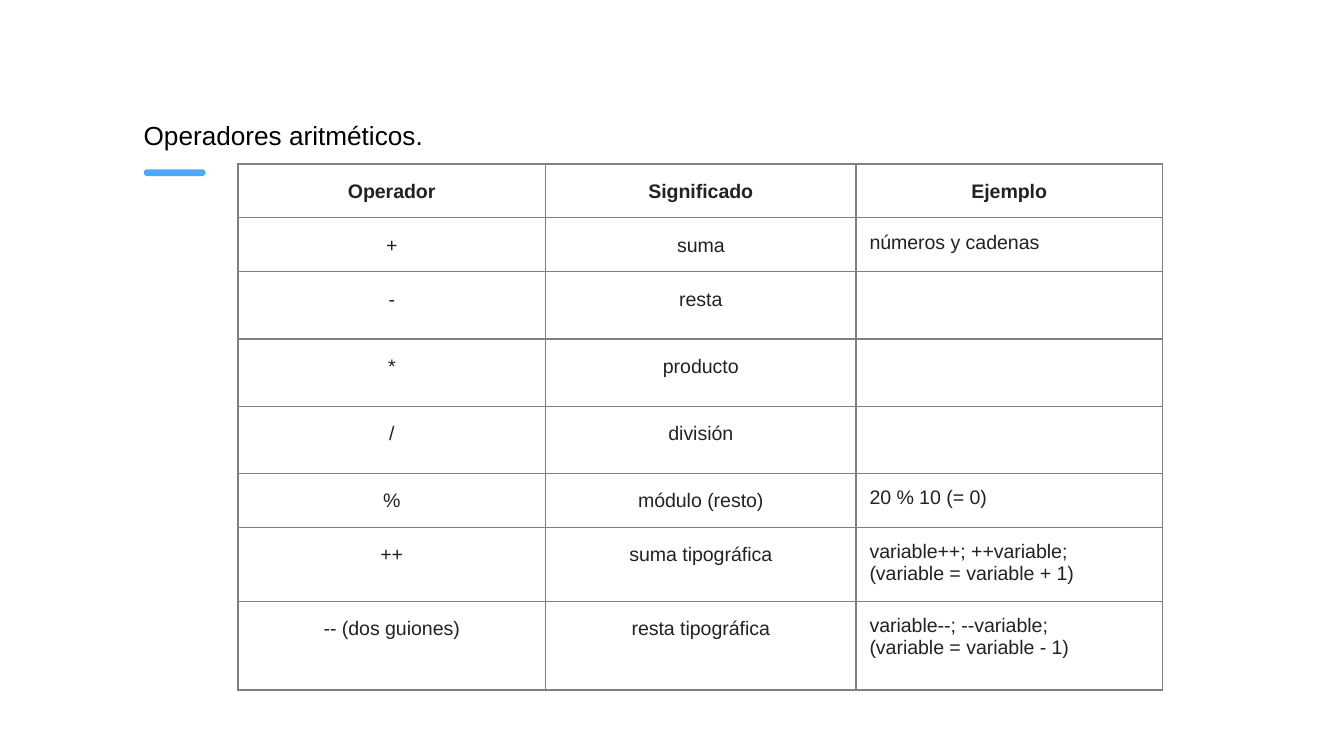
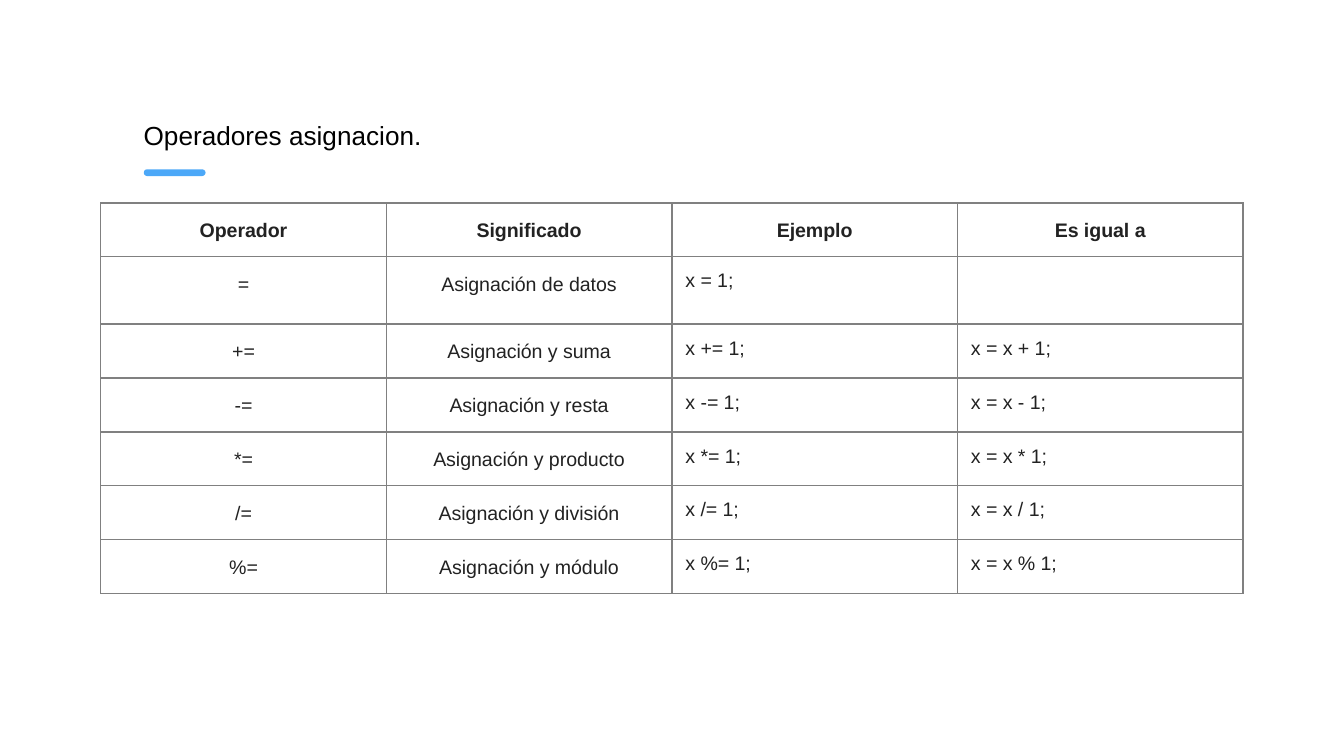
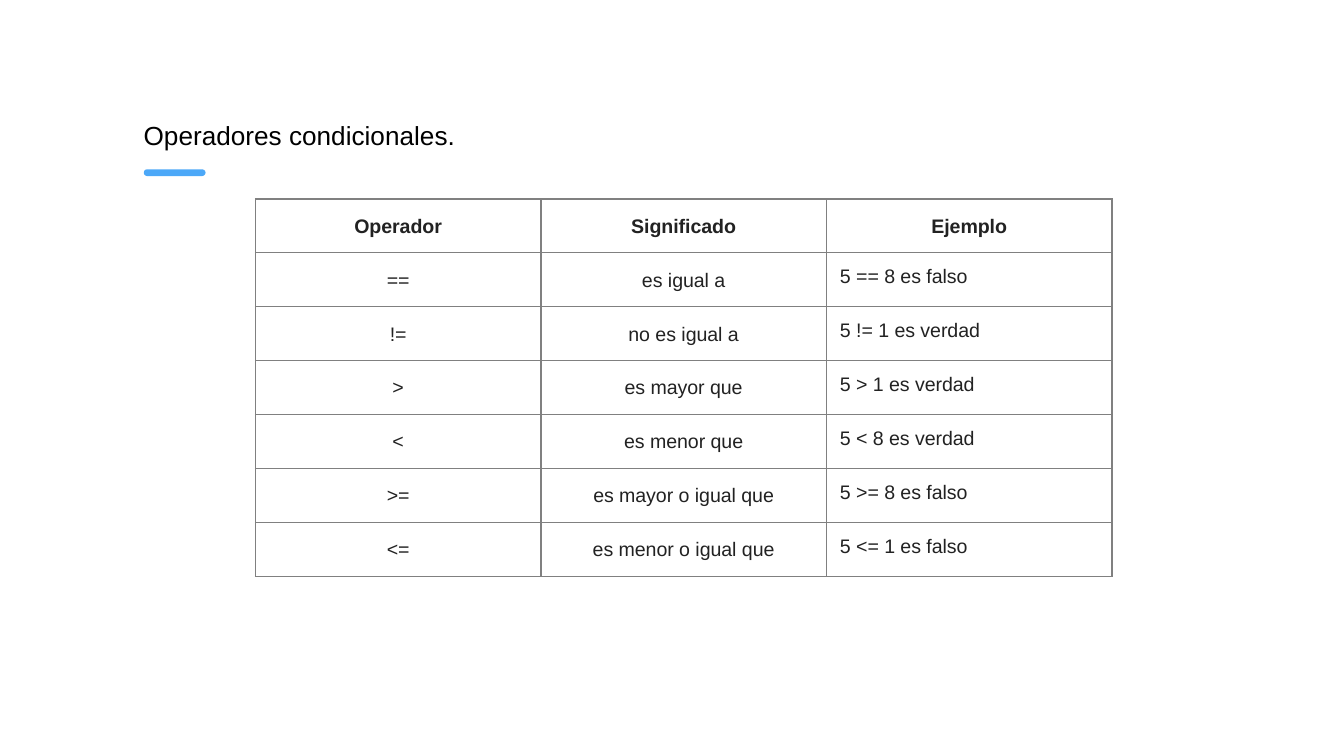
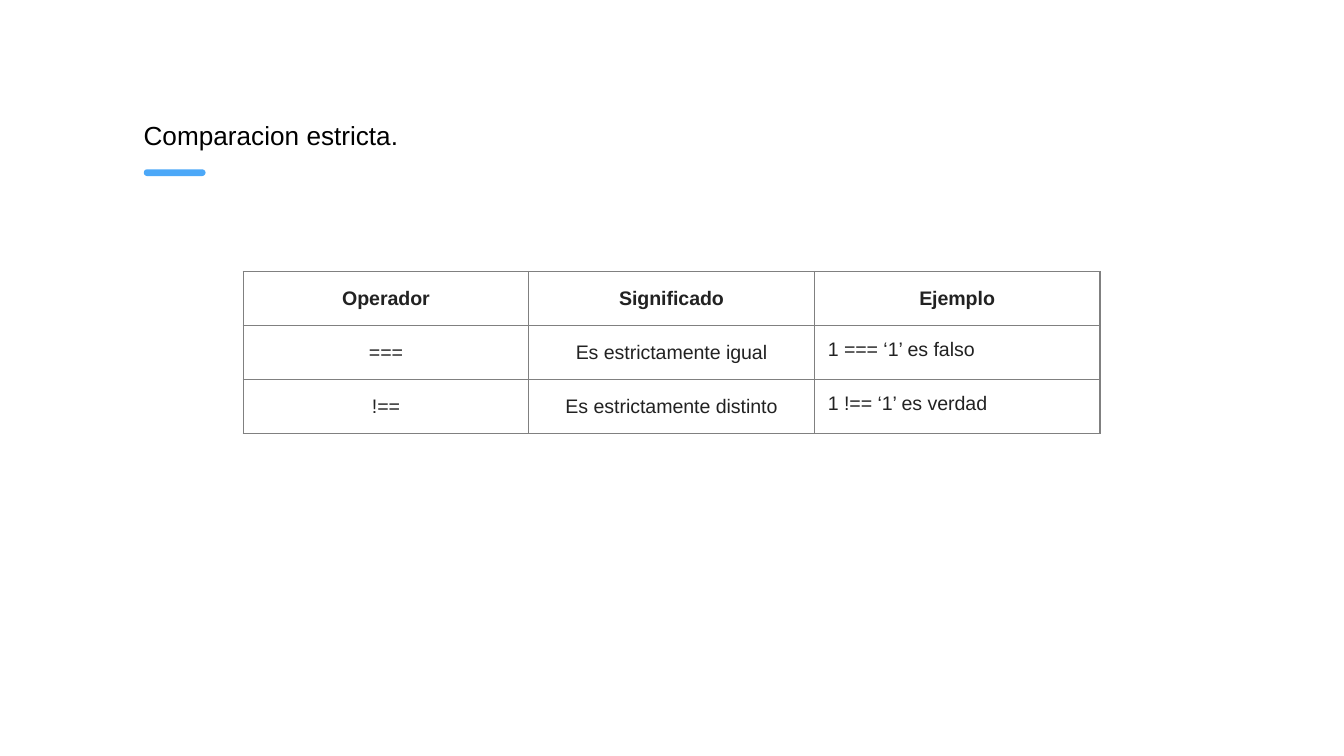
from dataclasses import dataclass
from typing import Any

from lxml import etree
from pptx import Presentation
from pptx import util as u
from pptx.dml import color
from pptx.enum import shapes, text
from pptx.oxml import ns

SLIDE_WIDTH, SLIDE_HEIGHT = u.Inches(10), u.Inches(5.625)
COLUMN, ROW = SLIDE_WIDTH / 100, SLIDE_HEIGHT / 56.25

ACCENT, PAPER, BORDER = "4CA8F8", "FFFFFF", "808080"
TITLE_COLOUR, CELL_COLOUR = "000000", "222222"

INSET = u.Inches(0.1)
INSETS = dict.fromkeys(("margin_left", "margin_right", "margin_top", "margin_bottom"), INSET)
TITLE_FONT = {"name": "Arial", "size": u.Pt(14), "bold": False}
BODY_FONT = {"name": "Arial", "size": u.Pt(10.5), "bold": False}
HEADER_FONT = BODY_FONT | {"bold": True}
CENTRED = {"alignment": text.PP_ALIGN.CENTER, "line_spacing": 1.15}
LEFT = {"alignment": text.PP_ALIGN.LEFT}
PLAIN_TABLE = {"first_row": False, "horz_banding": False}
CENTRED_COLUMNS = 2


@dataclass(frozen=True)
class Area:
    column: float
    row: float
    columns: float
    rows: float

    def box(self) -> tuple[int, int, int, int]:
        return (
            round(self.column * COLUMN),
            round(self.row * ROW),
            round(self.columns * COLUMN),
            round(self.rows * ROW),
        )


@dataclass(frozen=True)
class OperatorSlide:
    title: str
    column: float
    row: float
    widths: list[float]
    heights: list[float]
    headers: list[str]
    operators: list[tuple[str, ...]]


TITLE_AREA = Area(9.7, 7.9, 46.9, 4.3)
ACCENT_AREA = Area(10.7, 12.6, 4.6, 0.5)
HEADERS = ["Operador", "Significado", "Ejemplo"]
WIDTH, HEIGHT, LAST_HEIGHT = 21.25, 2.1, 3.8

SLIDES = [
    OperatorSlide(
        "Operadores aritméticos.", 17.7, 12.2,
        [22.9, 23.1, 22.8],
        [3.6, 3.6, 4.3, 4.3, 4.3, 3.6, 5, 6.6],
        HEADERS,
        [
            ("+", "suma", "números y cadenas"),
            ("-", "resta", ""),
            ("*", "producto", ""),
            ("/", "división", ""),
            ("%", "módulo (resto)", "20 % 10 (= 0)"),
            ("++", "suma tipográfica", "variable++; ++variable;\n(variable = variable + 1)"),
            ("-- (dos guiones)", "resta tipográfica", "variable--; --variable;\n(variable = variable - 1)"),
        ],
    ),
    OperatorSlide(
        "Operadores asignacion.", 7.5, 15.1,
        [WIDTH] * 4,
        [HEIGHT] * 6 + [LAST_HEIGHT],
        HEADERS + ["Es igual a"],
        [("=", "Asignación de datos", "x = 1;", "")]
        + [
            (f"{sign}=", f"Asignación y {meaning}", f"x {sign}= 1;", f"x = x {sign} 1;")
            for sign, meaning in [
                ("+", "suma"), ("-", "resta"), ("*", "producto"), ("/", "división"), ("%", "módulo"),
            ]
        ],
    ),
    OperatorSlide(
        "Operadores condicionales.", 19, 14.8,
        [WIDTH] * 3,
        [HEIGHT] * 6 + [LAST_HEIGHT],
        HEADERS,
        [
            ("==", "es igual a", "5 == 8 es falso"),
            ("!=", "no es igual a", "5 != 1 es verdad"),
            (">", "es mayor que", "5 > 1 es verdad"),
            ("<", "es menor que", "5 < 8 es verdad"),
            (">=", "es mayor o igual que", "5 >= 8 es falso"),
            ("<=", "es menor o igual que", "5 <= 1 es falso"),
        ],
    ),
    OperatorSlide(
        "Comparacion estricta.", 18.1, 20.2,
        [WIDTH] * 3,
        [HEIGHT] * 3,
        HEADERS,
        [
            ("===", "Es estrictamente igual", "1 === ‘1’ es falso"),
            ("!==", "Es estrictamente distinto", "1 !== ‘1’ es verdad"),
        ],
    ),
]


def rgb(value: str) -> color.RGBColor:
    return color.RGBColor.from_string(value)


def apply(target: Any, values: dict[str, Any]) -> None:
    for attribute, value in values.items():
        setattr(target, attribute, value)


def paint(fill: Any, colour: str) -> None:
    fill.solid()
    fill.fore_color.rgb = rgb(colour)


def xml_colour(parent: Any, tag: str, colour: str) -> Any:
    holder = etree.SubElement(parent, ns.qn(tag))
    etree.SubElement(holder, ns.qn("a:srgbClr"), val=colour)
    return holder


def write(frame: Any, content: str, font: dict, colour: str, layout: dict, highlight: str = "") -> None:
    for index, line in enumerate(content.split("\n")):
        paragraph = frame.add_paragraph() if index else frame.paragraphs[0]
        apply(paragraph, layout)
        if not line:
            continue
        run = paragraph.add_run()
        run.text = line
        apply(run.font, font)
        run.font.color.rgb = rgb(colour)
        if highlight:
            properties = run._r.get_or_add_rPr()
            marker = xml_colour(properties, "a:highlight", highlight)
            properties.find(ns.qn("a:solidFill")).addnext(marker)


def draw_heading(slide: Any, title: str) -> None:
    accent = slide.shapes.add_shape(shapes.MSO_SHAPE.ROUNDED_RECTANGLE, *ACCENT_AREA.box())
    accent.adjustments[0] = 0.5
    accent.shadow.inherit = False
    paint(accent.fill, ACCENT)
    accent.line.fill.background()

    heading = slide.shapes.add_textbox(*TITLE_AREA.box()).text_frame
    apply(heading, INSETS | {"word_wrap": True})
    write(heading, title, TITLE_FONT, TITLE_COLOUR, LEFT)


def draw_cell(cell: Any, content: str, font: dict, layout: dict) -> None:
    apply(cell, INSETS)
    properties = cell._tc.get_or_add_tcPr()
    for side in ("a:lnL", "a:lnR", "a:lnT", "a:lnB"):
        edge = etree.SubElement(properties, ns.qn(side), w=str(u.Pt(0.75)))
        xml_colour(edge, "a:solidFill", BORDER)
    paint(cell.fill, PAPER)
    write(cell.text_frame, content, font, CELL_COLOUR, layout, PAPER)


def draw_table(slide: Any, part: OperatorSlide) -> None:
    area = Area(part.column, part.row, sum(part.widths), sum(part.heights))
    table = slide.shapes.add_table(len(part.heights), len(part.widths), *area.box()).table
    apply(table, PLAIN_TABLE)
    for column, width in zip(table.columns, part.widths):
        column.width = round(width * COLUMN)
    for row, height in zip(table.rows, part.heights):
        row.height = round(height * ROW)
    for row, contents in enumerate([part.headers, *part.operators]):
        for column, content in enumerate(contents):
            centred = content and (row == 0 or column < CENTRED_COLUMNS)
            draw_cell(
                table.cell(row, column),
                content,
                BODY_FONT if row else HEADER_FONT,
                CENTRED if centred else LEFT,
            )


def main() -> None:
    deck = Presentation()
    apply(deck, {"slide_width": SLIDE_WIDTH, "slide_height": SLIDE_HEIGHT})
    for part in SLIDES:
        slide = deck.slides.add_slide(deck.slide_layouts[6])
        paint(slide.background.fill, PAPER)
        draw_heading(slide, part.title)
        draw_table(slide, part)
    deck.save("out.pptx")


if __name__ == "__main__":
    main()
